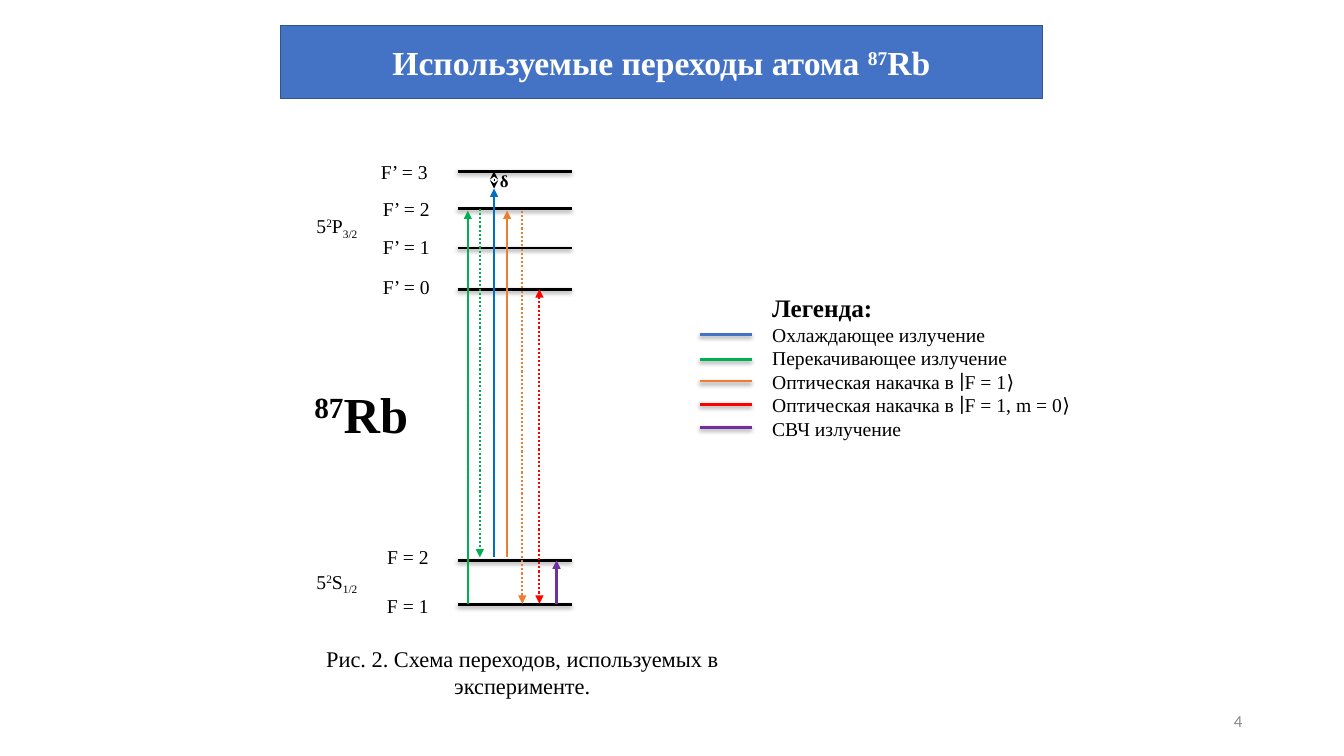
"""Energy levels and driven transitions of the rubidium atom, on a grid of tenth-inch cells."""
from dataclasses import dataclass
from typing import NamedTuple

from lxml import etree
from pptx import Presentation
from pptx import util as u
from pptx.dml.color import RGBColor
from pptx.enum import dml, shapes, text
from pptx.oxml import ns

WIDE, HIGH = u.Inches(13.33), u.Inches(7.5)
ROWS = 75
BLACK, WHITE, GREY = "000000", "FFFFFF", "888888"
BLUE, GREEN, ORANGE, RED, PURPLE = "4472C4", "00B050", "ED7D31", "FF0000", "7030A0"
COOL, EDGE = "0070C0", "31538F"
SERIF = "Times New Roman"
LEFT, MID, RIGHT = text.PP_ALIGN.LEFT, text.PP_ALIGN.CENTER, text.PP_ALIGN.RIGHT


class Run(NamedTuple):
    words: str
    size: int = 14
    bold: bool = False
    base: int = 0


class Box(NamedTuple):
    col: float
    row: float
    cols: float
    rows: float


@dataclass
class Note:
    box: Box
    lines: list[list[Run]]
    color: str = BLACK
    align: text.PP_ALIGN = LEFT
    face: str = SERIF
    anchor: text.MSO_ANCHOR = text.MSO_ANCHOR.TOP


@dataclass
class Beam:
    col: float
    start: float
    end: float
    color: str
    dots: bool = False
    head: str = ""
    tail: str = "triangle"
    width: float = 1.5


@dataclass
class Level:
    row: float
    name: str
    col: float
    top: float
    cols: float = 10.2


@dataclass
class Key:
    row: float
    color: str
    name: str


LEVELS = [
    Level(17, "F’ = 3", 36.8, 15.4),
    Level(20.7, "F’ = 2", 37, 19),
    Level(24.6, "F’ = 1", 37, 22.8),
    Level(28.7, "F’ = 0", 37, 26.8),
    Level(55.6, "F = 2", 37.4, 53.6),
    Level(60, "F = 1", 37.4, 58.4, 9),
]
BEAMS = [
    Beam(46.4, 59.9, 20.9, GREEN),
    Beam(47.6, 20.7, 55.3, GREEN, dots=True),
    Beam(49, 55.3, 18.7, COOL),
    Beam(49, 17, 18.7, BLACK, head="stealth", tail="stealth", width=0.75),
    Beam(50.3, 55.3, 20.9, ORANGE),
    Beam(51.8, 20.9, 59.9, ORANGE, dots=True),
    Beam(53.5, 28.7, 59.9, RED, dots=True, head="triangle"),
    Beam(55.2, 59.9, 55.6, PURPLE),
]
KEYS = [
    Key(33.2, BLUE, "Охлаждающее излучение"),
    Key(35.7, GREEN, "Перекачивающее излучение"),
    Key(37.8, ORANGE, "Оптическая накачка в ∣F = 1⟩"),
    Key(40.1, RED, "Оптическая накачка в ∣F = 1, m = 0⟩"),
    Key(42.4, PURPLE, "СВЧ излучение"),
]


def term(row: float, name: str, spin: str) -> Note:
    """Label a group of levels with its spectroscopic term."""
    runs = [Run("5"), Run("2", base=30), Run(name), Run(spin, base=-25)]
    return Note(Box(30.4, row, 9, 3.4), [runs])


TITLE = Note(
    Box(27.8, 2.5, 75.6, 7.3),
    [[Run("Используемые переходы атома ", 24, True), Run("87", 24, True, 30), Run("Rb", 24, True)]],
    WHITE, MID, anchor=text.MSO_ANCHOR.MIDDLE,
)
NOTES = [
    Note(Box(94.2, 69.5, 30, 4), [[Run("4", 12)]], GREY, RIGHT, "Calibri", text.MSO_ANCHOR.MIDDLE),
    term(20.7, "P", "3/2"),
    term(56, "S", "1/2"),
    Note(Box(48.6, 16.4, 3.2, 3), [[Run("δ", 12, True)]]),
    Note(Box(30.2, 37.5, 16.6, 7.1), [[Run("87", 36, True, 30), Run("Rb", 36, True)]]),
    Note(Box(75.6, 28.5, 41.4, 20.5),
         [[Run("Легенда:", 18, True)]] + [[Run(key.name)] for key in KEYS]),
    Note(Box(29.7, 63.5, 44.2, 6.4),
         [[Run("Рис. 2. Схема переходов, используемых в эксперименте.", 16)]], align=MID),
]


def cell(count: float) -> u.Emu:
    """Turn grid cells into a length."""
    return u.Emu(round(HIGH * count / ROWS))


def tint(code: str) -> RGBColor:
    """Turn a hex string into a colour."""
    return RGBColor.from_string(code)


def node(host, tag: str, **attrs):
    """Append a drawing element."""
    return etree.SubElement(host, ns.qn(f"a:{tag}"), attrs)


def put(thing, values: dict) -> None:
    """Set attributes from a dict."""
    for name, value in values.items():
        setattr(thing, name, value)


def fill(shape, note: Note) -> None:
    """Write a note into a shape."""
    frame = shape.text_frame
    put(frame, {"word_wrap": True, "auto_size": text.MSO_AUTO_SIZE.NONE,
                "vertical_anchor": note.anchor})
    for index, runs in enumerate(note.lines):
        para = frame.add_paragraph() if index else frame.paragraphs[0]
        para.alignment = note.align
        for part in runs:
            run = para.add_run()
            run.text = part.words
            put(run.font, {"name": note.face, "size": u.Pt(part.size), "bold": part.bold})
            run.font.color.rgb = tint(note.color)
            if part.base:
                run.font._element.set("baseline", str(part.base * 1000))


def line(slide, ends: tuple, color: str, width: float = 2):
    """Draw a straight line between two grid points."""
    link = slide.shapes.add_connector(shapes.MSO_CONNECTOR.STRAIGHT, *map(cell, ends))
    link.line.width = u.Pt(width)
    link.line.color.rgb = tint(color)
    return link, node(link._element.spPr, "effectLst")


def bar(slide, col: float, cols: float, row: float, color: str) -> None:
    """Draw a horizontal line with a soft shadow."""
    _, effect = line(slide, (col, row, col + cols, row), color)
    shade = node(effect, "outerShdw", blurRad="40000", dist="20000", dir="5400000",
                 rotWithShape="0")
    node(node(shade, "srgbClr", val=BLACK), "alpha", val="38000")


def ray(slide, beam: Beam) -> None:
    """Draw a vertical arrow between levels."""
    link, _ = line(slide, (beam.col, beam.start, beam.col, beam.end), beam.color, beam.width)
    if beam.dots:
        link.line.dash_style = dml.MSO_LINE.ROUND_DOT
    stroke = link._element.spPr.find(ns.qn("a:ln"))
    for tag, kind in (("headEnd", beam.head), ("tailEnd", beam.tail)):
        if kind:
            node(stroke, tag, type=kind)


def head(slide, note: Note) -> None:
    """Format the title as a rounded banner."""
    title = slide.shapes.title
    put(title, dict(zip(("left", "top", "width", "height"), map(cell, note.box))))
    node(node(title._element.spPr, "prstGeom", prst="roundRect"), "avLst")
    title.fill.solid()
    title.fill.fore_color.rgb = tint(BLUE)
    title.line.width = u.Pt(1)
    title.line.color.rgb = tint(EDGE)
    fill(title, note)


def main() -> None:
    """Build the slide and save it."""
    deck = Presentation()
    put(deck, {"slide_width": WIDE, "slide_height": HIGH})
    slide = deck.slides.add_slide(deck.slide_layouts.get_by_name("Title Only"))
    head(slide, TITLE)
    for level in LEVELS:
        bar(slide, 45.4, 11.3, level.row, BLACK)
    for beam in BEAMS:
        ray(slide, beam)
    for key in KEYS:
        bar(slide, 69.4, 5.2, key.row, key.color)
    names = [Note(Box(v.col, v.top, v.cols, 3.4), [[Run(v.name)]]) for v in LEVELS]
    for note in names + NOTES:
        fill(slide.shapes.add_textbox(*map(cell, note.box)), note)
    deck.save("out.pptx")


if __name__ == "__main__":
    main()
